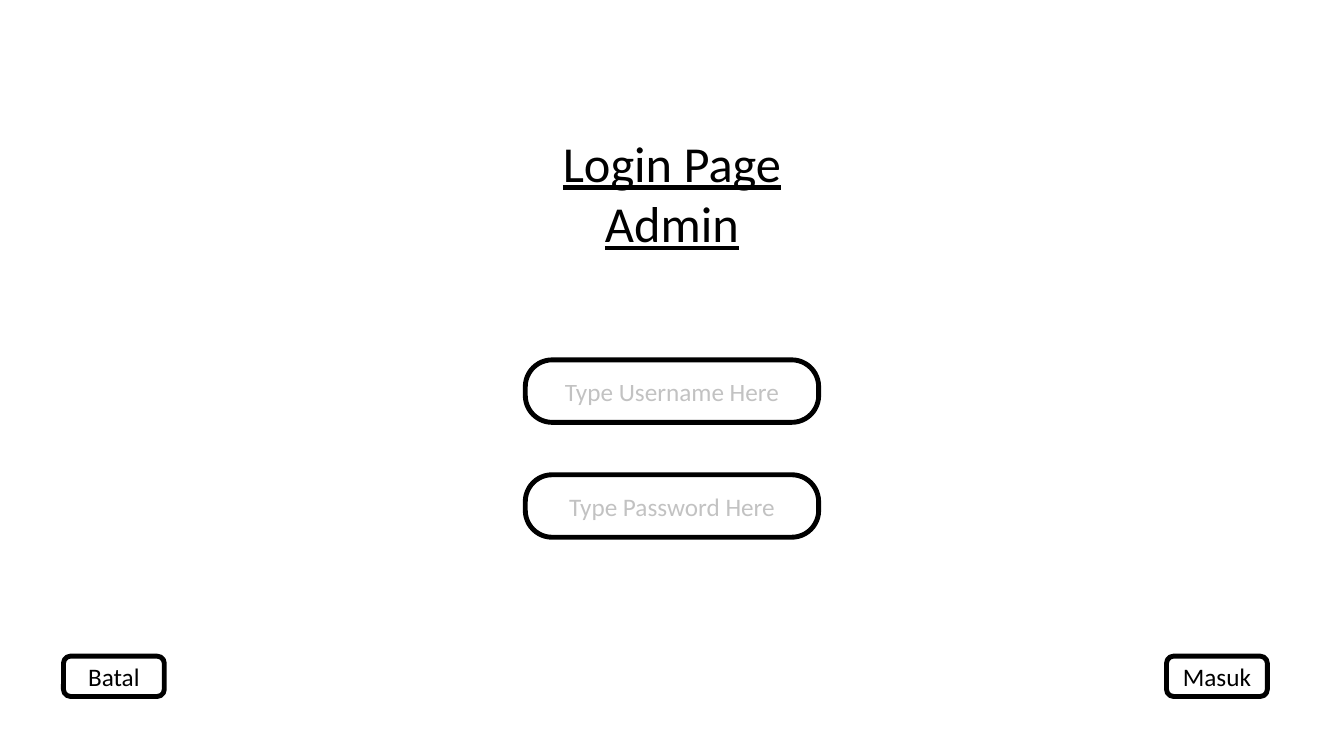
import pptx
import pptx.util
import pptx.dml.color
import pptx.enum.shapes
import pptx.enum.text
import lxml.etree
from pptx.oxml.ns import qn

Inches = pptx.util.Inches
Pt = pptx.util.Pt
BLACK = pptx.dml.color.RGBColor(0, 0, 0)
FONT = "Calibri"
HINT_OPACITY = 23

TITLE = "Login Page Admin"
FIELDS = ["Type Username Here", "Type Password Here"]
BUTTONS = [("Batal", 0.63), ("Masuk", 11.57)]

FIELD_LEFT, FIELD_TOP, FIELD_STEP = 5.21, 3.57, 1.14
FIELD_SIZE, FIELD_ROUNDING = (2.91, 0.62), 0.43
BUTTON_TOP = 6.51
BUTTON_SIZE, BUTTON_ROUNDING = (1, 0.4), 0.176


def write(tf, text, size):
    p = tf.paragraphs[0]
    p.alignment = pptx.enum.text.PP_ALIGN.CENTER
    r = p.add_run()
    r.text = text
    r.font.name = FONT
    r.font.size = Pt(size)
    r.font.color.rgb = BLACK
    return r


def add_box(s, text, left, top, size, rounding):
    sp = s.shapes.add_shape(
        pptx.enum.shapes.MSO_SHAPE.ROUNDED_RECTANGLE,
        Inches(left), Inches(top), Inches(size[0]), Inches(size[1]))
    sp.adjustments[0] = rounding
    sp.shadow.inherit = False
    sp.fill.background()
    sp.line.color.rgb = BLACK
    sp.line.width = Pt(3.5)
    tf = sp.text_frame
    tf.word_wrap = True
    tf.vertical_anchor = pptx.enum.text.MSO_ANCHOR.MIDDLE
    return write(tf, text, 18)


def fade(r, percent):
    color = r.font._element.find(".//" + qn("a:srgbClr"))
    lxml.etree.SubElement(color, qn("a:alpha")).set("val", str(percent * 1000))


prs = pptx.Presentation()
prs.slide_width, prs.slide_height = Inches(13.33), Inches(7.5)
s = prs.slides.add_slide(prs.slide_layouts[5])

title = s.shapes.title
title.left, title.top = Inches(5.28), Inches(1.26)
title.width, title.height = Inches(2.77), Inches(1.31)
tf = title.text_frame
tf.word_wrap = True
tf.auto_size = pptx.enum.text.MSO_AUTO_SIZE.SHAPE_TO_FIT_TEXT
tf.vertical_anchor = pptx.enum.text.MSO_ANCHOR.TOP
write(tf, TITLE, 36).font.underline = True

for i, hint in enumerate(FIELDS):
    r = add_box(s, hint, FIELD_LEFT, FIELD_TOP + i * FIELD_STEP,
                FIELD_SIZE, FIELD_ROUNDING)
    fade(r, HINT_OPACITY)

for label, left in BUTTONS:
    add_box(s, label, left, BUTTON_TOP, BUTTON_SIZE, BUTTON_ROUNDING)

prs.save("out.pptx")
